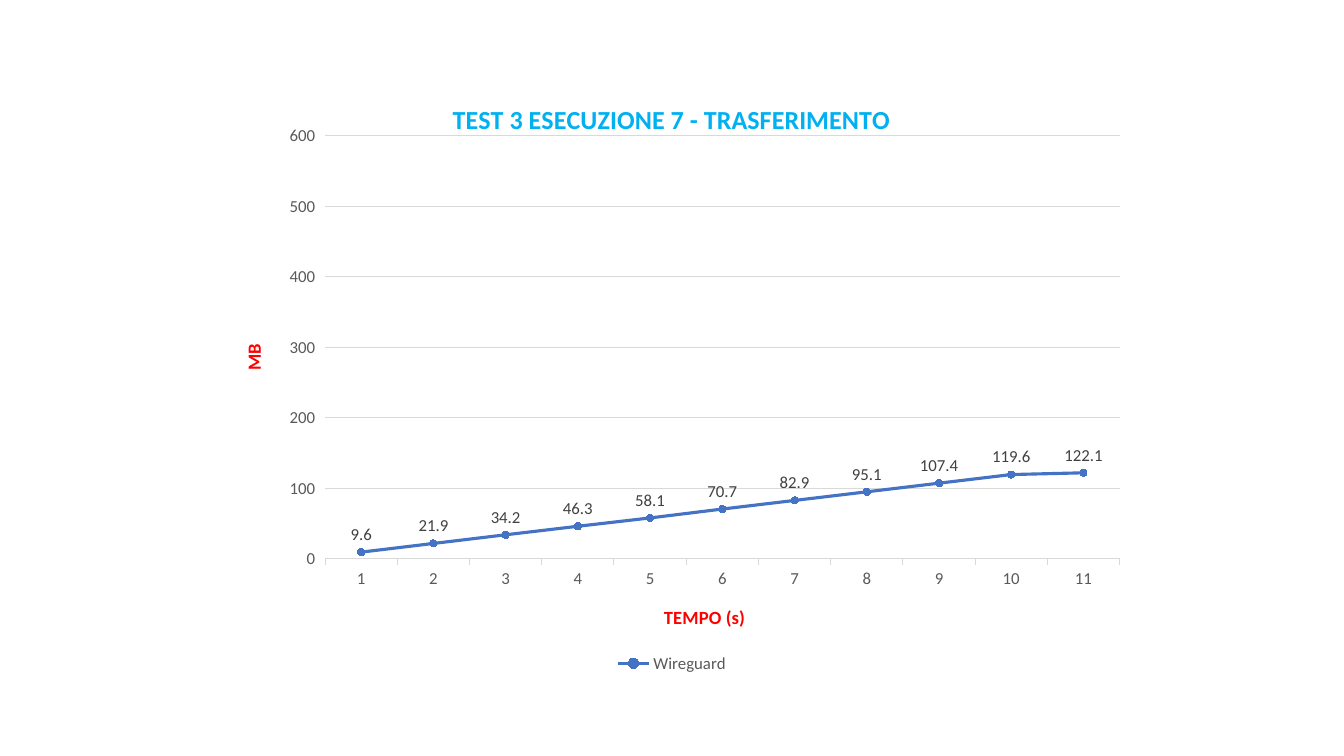
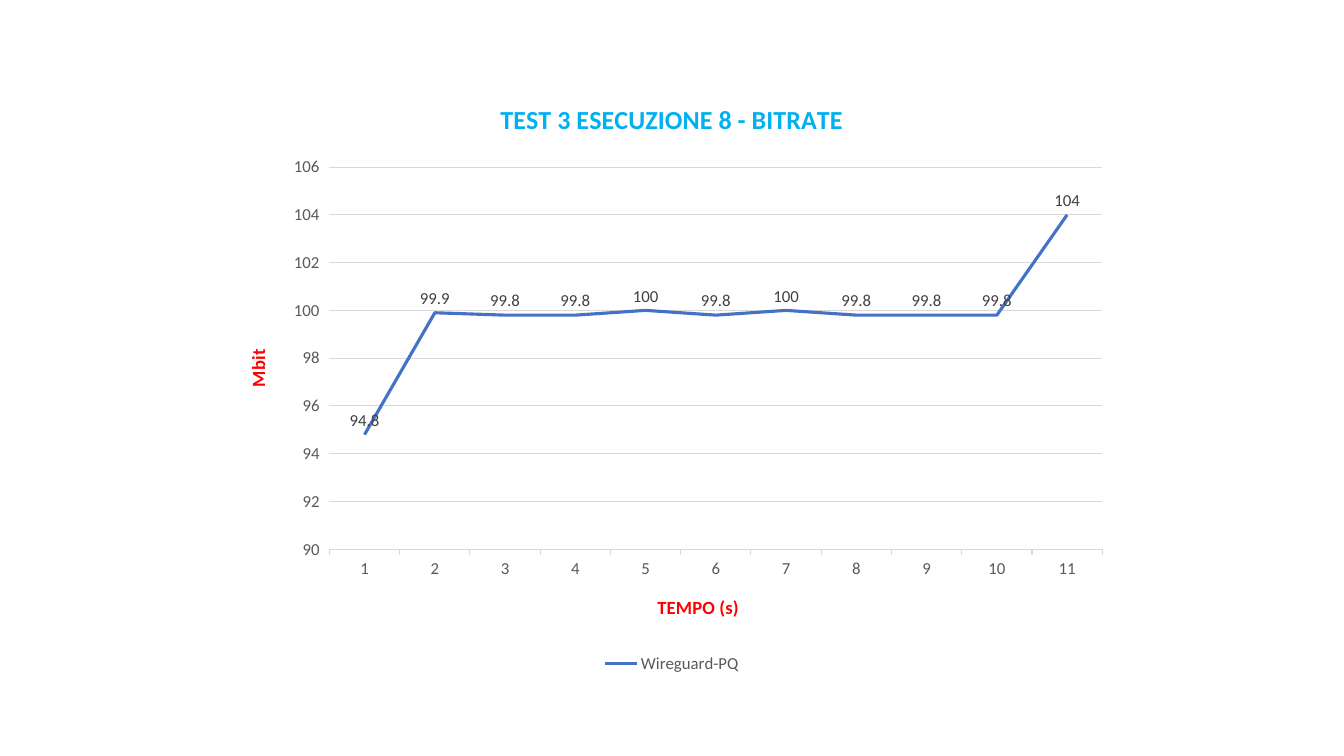
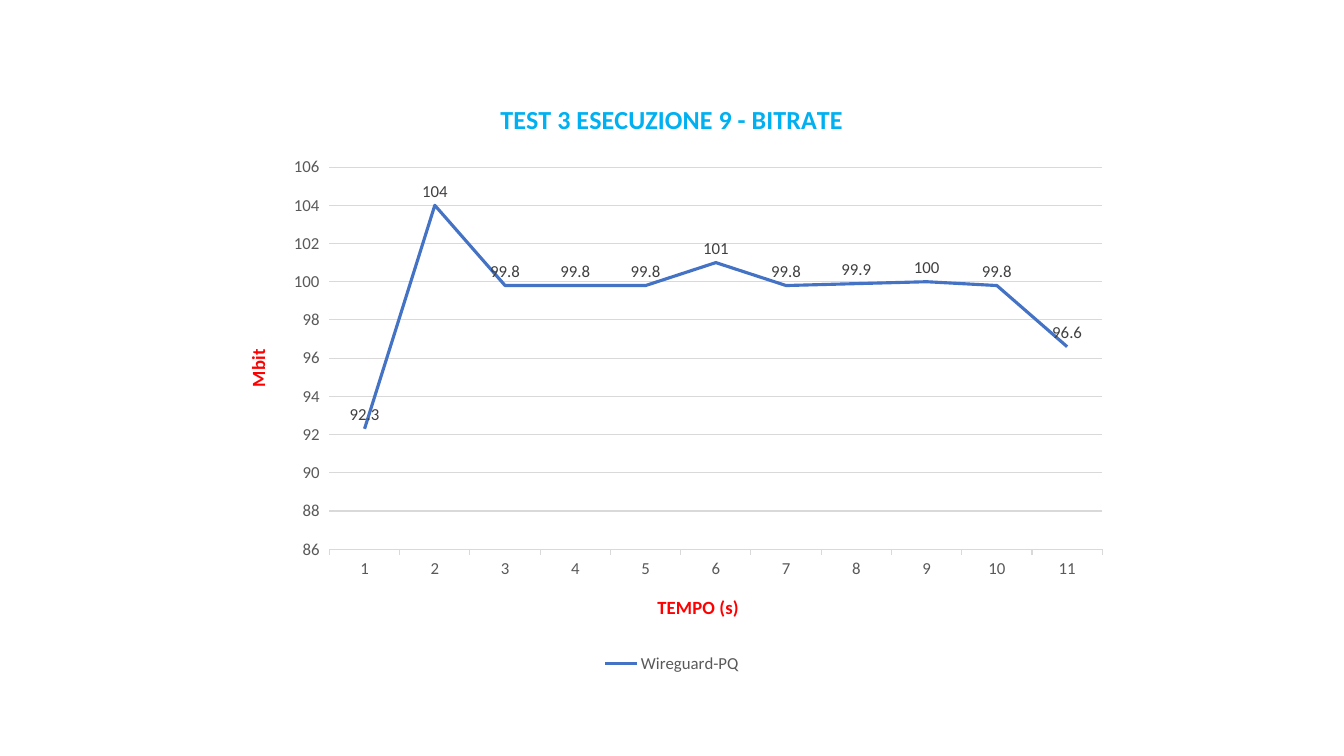
from dataclasses import dataclass

from pptx import Presentation
from pptx.chart.data import CategoryChartData
from pptx.dml.color import RGBColor
from pptx.enum.chart import (
    XL_CHART_TYPE, XL_LABEL_POSITION, XL_LEGEND_POSITION, XL_MARKER_STYLE, XL_TICK_MARK,
)
from pptx.oxml import parse_xml
from pptx.oxml.ns import nsdecls, qn
from pptx.util import Inches, Pt

LINE = XL_CHART_TYPE.LINE
LINE_MARKERS = XL_CHART_TYPE.LINE_MARKERS
ABOVE = XL_LABEL_POSITION.ABOVE
BOTTOM = XL_LEGEND_POSITION.BOTTOM
CIRCLE = XL_MARKER_STYLE.CIRCLE
OUTSIDE = XL_TICK_MARK.OUTSIDE

BLACK = RGBColor(0x00, 0x00, 0x00)
SKY = RGBColor(0x00, 0xB0, 0xF0)
RED = RGBColor(0xFF, 0x00, 0x00)
BLUE = RGBColor(0x44, 0x72, 0xC4)
DARK_GREY = RGBColor(0x40, 0x40, 0x40)
GREY = RGBColor(0x59, 0x59, 0x59)
LIGHT_GREY = RGBColor(0xD9, 0xD9, 0xD9)

FONT = "Calibri"
BASE_TEXT = {"name": FONT, "size": Pt(10), "color": BLACK}
TITLE_TEXT = {"name": FONT, "size": Pt(18.6), "bold": True, "color": SKY}
AXIS_TITLE_TEXT = {"name": FONT, "size": Pt(13.3), "bold": True, "color": RED}
SCALE_TEXT = {"name": FONT, "size": Pt(12), "bold": False, "color": GREY}
LABEL_TEXT = {"name": FONT, "size": Pt(12), "bold": False, "color": DARK_GREY}

CHART_BOX = (Inches(2.22), Inches(0.79), Inches(8.89), Inches(5.93))
SECONDS = [str(second) for second in range(1, 12)]


@dataclass
class Run:
    """One measured test run and the way its chart is drawn."""

    title: str
    unit: str
    series: str
    values: list
    markers: bool = False
    limits: tuple = ()
    plot_box: tuple = ()


RUNS = [
    Run("TEST 3 ESECUZIONE 7 - TRASFERIMENTO", "MB", "Wireguard",
        [9.6, 21.9, 34.2, 46.3, 58.1, 70.7, 82.9, 95.1, 107.4, 119.6, 122.1],
        markers=True, limits=(0, 600), plot_box=(0.113, 0.094, 0.887, 0.708)),
    Run("TEST 3 ESECUZIONE 8 - BITRATE", "Mbit", "Wireguard-PQ",
        [94.8, 99.9, 99.8, 99.8, 100, 99.8, 100, 99.8, 99.8, 99.8, 104]),
    Run("TEST 3 ESECUZIONE 9 - BITRATE", "Mbit", "Wireguard-PQ",
        [92.3, 104, 99.8, 99.8, 99.8, 101, 99.8, 99.9, 100, 99.8, 96.6]),
]


def style_font(font, text_format):
    """Apply a dict of format values to a font."""
    for name, value in text_format.items():
        if name == "color":
            font.color.rgb = value
        else:
            setattr(font, name, value)


def style_line(line, color, width):
    """Give a line its colour and its width in points."""
    line.color.rgb = color
    line.width = Pt(width)


def write_title(title, text, text_format):
    """Write the text of a chart title or an axis title."""
    paragraph = title.text_frame.paragraphs[0]
    run = paragraph.add_run()
    run.text = text
    style_font(paragraph.font, text_format)
    style_font(run.font, text_format)


def style_axes(chart, run):
    """Set titles, scales and gridlines of both axes."""
    for axis, text in ((chart.category_axis, "TEMPO (s)"), (chart.value_axis, run.unit)):
        write_title(axis.axis_title, text, AXIS_TITLE_TEXT)
        style_font(axis.tick_labels.font, SCALE_TEXT)
        axis.major_tick_mark = OUTSIDE
    style_line(chart.category_axis.format.line, LIGHT_GREY, 0.75)
    value_axis = chart.value_axis
    value_axis.format.line.fill.background()
    value_axis.has_major_gridlines = True
    style_line(value_axis.major_gridlines.format.line, LIGHT_GREY, 0.75)
    if run.limits:
        value_axis.minimum_scale, value_axis.maximum_scale = run.limits


def style_series(series, markers):
    """Draw the series as a straight line with its values above."""
    series.smooth = False
    style_line(series.format.line, BLUE, 2.25)
    if markers:
        series.marker.style = CIRCLE
        series.marker.size = 5
        series.marker.format.fill.solid()
        series.marker.format.fill.fore_color.rgb = BLUE
        style_line(series.marker.format.line, BLUE, 0.75)
    labels = series.data_labels
    labels.show_value = True
    labels.position = ABOVE
    style_font(labels.font, LABEL_TEXT)


def place_plot(chart, plot_box):
    """Fix the inner plot area at fractions of the chart's size."""
    plot_area = chart._chartSpace.find(qn("c:chart")).find(qn("c:plotArea"))
    for layout in plot_area.findall(qn("c:layout")):
        plot_area.remove(layout)
    modes = "".join(f'<c:{name}Mode val="edge"/>' for name in "xy")
    sizes = "".join(f'<c:{name} val="{value}"/>' for name, value in zip("xywh", plot_box))
    plot_area.insert(0, parse_xml(
        f'<c:layout {nsdecls("c")}><c:manualLayout><c:layoutTarget val="inner"/>'
        f"{modes}{sizes}</c:manualLayout></c:layout>"))


def add_run_chart(slide, box, run):
    """Place the line chart of one test run in the box."""
    data = CategoryChartData()
    data.categories = SECONDS
    data.add_series(run.series, run.values)
    chart_type = LINE_MARKERS if run.markers else LINE
    chart = slide.shapes.add_chart(chart_type, *box, data).chart
    style_font(chart.font, BASE_TEXT)
    write_title(chart.chart_title, run.title, TITLE_TEXT)
    chart.has_legend = True
    chart.legend.position = BOTTOM
    chart.legend.include_in_layout = False
    style_font(chart.legend.font, SCALE_TEXT)
    chart.plots[0].vary_by_categories = False
    style_axes(chart, run)
    style_series(chart.plots[0].series[0], run.markers)
    if run.plot_box:
        place_plot(chart, run.plot_box)


def main():
    """Build one slide for each test run."""
    presentation = Presentation()
    presentation.slide_width = Inches(13.33)
    presentation.slide_height = Inches(7.5)
    blank_layout = presentation.slide_layouts[6]
    for run in RUNS:
        add_run_chart(presentation.slides.add_slide(blank_layout), CHART_BOX, run)
    presentation.save("out.pptx")


if __name__ == "__main__":
    main()
